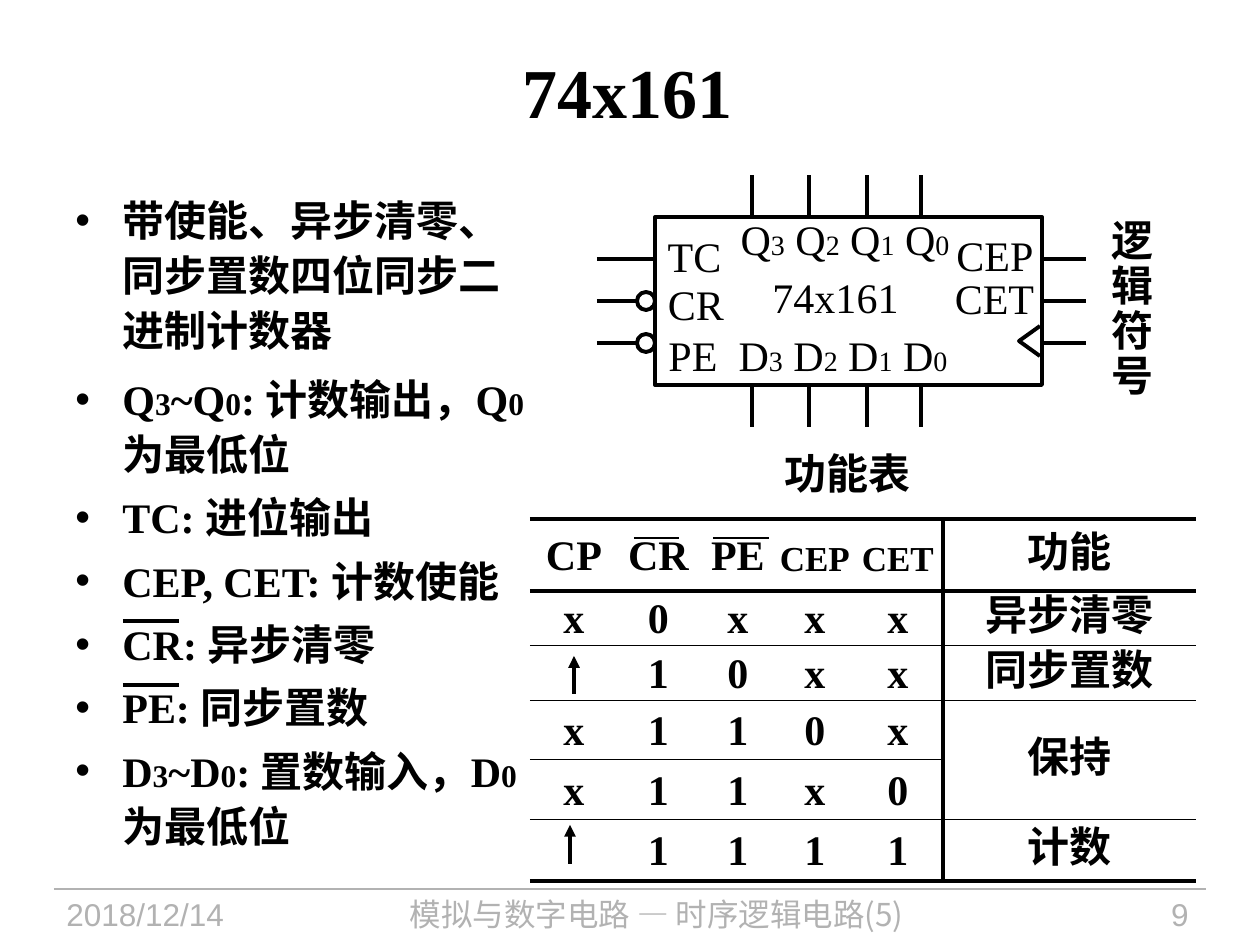
from itertools import groupby, pairwise
from typing import NamedTuple

from lxml.etree import SubElement
from pptx import Presentation
from pptx.dml.color import RGBColor
from pptx.enum.shapes import MSO_CONNECTOR as Conn, MSO_SHAPE as Kind
from pptx.enum.text import MSO_ANCHOR as Anchor, PP_ALIGN as Align
from pptx.oxml.ns import qn
from pptx.util import Emu, Pt

BLACK = RGBColor(0, 0, 0)
WHITE = RGBColor(255, 255, 255)
GRAY = RGBColor(0xB2, 0xB2, 0xB2)
SERIF, SANS, HAN = "Times New Roman", "Arial", "Noto Sans CJK SC"
THICK, MID, THIN = 2.25, 1.5, 0.75


class Box(NamedTuple):
    x: int
    y: int
    w: int
    h: int


class Line(NamedTuple):
    x1: int
    y1: int
    x2: int
    y2: int
    width: float = THICK
    color: RGBColor = BLACK
    arrow: bool = False


class Label(NamedTuple):
    text: str
    box: Box
    sub: int = 0


class Item(NamedTuple):
    text: str
    after: float = 4.8


FRAME = Box(655, 217, 387, 168)
PINS = (752, 809, 867, 921)
SIDES = (259, 301, 343)
COLS = (530, 618, 699, 777, 853, 943, 1196)
ROWS = (519, 591, 646, 701, 760, 820, 881)
HEAVY = (0, 1, 6)
CELLS = (
    ("CP", "CR", "PE", "CEP", "CET", "功能"),
    ("x", "0", "x", "x", "x", "异步清零"),
    ("", "1", "0", "x", "x", "同步置数"),
    ("x", "1", "1", "0", "x", "保持"),
    ("x", "1", "1", "x", "0", ""),
    ("", "1", "1", "1", "1", "计数"),
)
LABELS = (
    Label("TC", Box(655, 224, 79, 63)),
    Label("CR", Box(655, 272, 82, 63)),
    Label("PE", Box(656, 323, 74, 63)),
    Label("CEP", Box(944, 223, 102, 63)),
    Label("CET", Box(942, 266, 105, 63)),
    Label("74x161", Box(760, 265, 151, 63)),
    Label("Q3 Q2 Q1 Q0", Box(728, 207, 234, 63), 16),
    Label("D3 D2 D1 D0", Box(726, 323, 234, 63), 16),
)
ITEMS = (
    Item("带使能、异步清零、同步置数四位同步二进制计数器", 8),
    Item("Q3~Q0: 计数输出，Q0为最低位"),
    Item("TC: 进位输出"),
    Item("CEP, CET: 计数使能"),
    Item("CR: 异步清零"),
    Item("PE: 同步置数"),
    Item("D3~D0: 置数输入，D0为最低位"),
)
BARS = (
    Line(123, 621, 179, 621),
    Line(123, 685, 179, 685),
    Line(634, 538, 679, 538, MID),
    Line(713, 538, 769, 538, MID),
)
ARROWS = (
    Line(574, 694, 574, 656, arrow=True),
    Line(570, 864, 570, 825, arrow=True),
)


def px(n: float) -> Emu:
    return Emu(round(n * 914400 / 126))


def write(para, text: str, *, size=24, font=SERIF, color=BLACK, bold=False,
          align=Align.CENTER, lead=None, after=0, sub=0) -> None:
    para.alignment = align
    para.space_before, para.space_after = Pt(0), Pt(after)
    if lead:
        para.line_spacing = Pt(lead)
    parts = groupby(text, str.isdigit) if sub else [(False, text)]
    for low, chars in parts:
        run = para.add_run()
        run.text = "".join(chars)
        run.font.size = Pt(sub if low else size)
        run.font.name, run.font.bold = font, bold
        run.font.color.rgb = color
        SubElement(run.font._element, qn("a:ea"), typeface=HAN)


def frame(slide, box: Box, wrap=True, anchor=Anchor.TOP):
    body = slide.shapes.add_textbox(*map(px, box)).text_frame
    body.word_wrap, body.vertical_anchor = wrap, anchor
    return body


def draw(slide, line: Line):
    ends = map(px, line[:4])
    conn = slide.shapes.add_connector(Conn.STRAIGHT, *ends)
    conn.line.width = Pt(line.width)
    conn.line.color.rgb = line.color
    if line.arrow:
        SubElement(conn.line._get_or_add_ln(), qn("a:tailEnd"), type="triangle")
    SubElement(conn._element.spPr, qn("a:effectLst"))
    return conn


def shape(slide, kind, box: Box):
    form = slide.shapes.add_shape(kind, *map(px, box))
    style(form)
    return form


def style(form) -> None:
    form.shadow.inherit = False
    form.fill.background()
    form.line.color.rgb = BLACK
    form.line.width = Pt(THICK)


def chip(slide) -> None:
    body = shape(slide, Kind.RECTANGLE, FRAME)
    right, base = FRAME.x + FRAME.w, FRAME.y + FRAME.h
    for x in PINS:
        draw(slide, Line(x, FRAME.y, x, FRAME.y - 42))
        draw(slide, Line(x, base, x, base + 42))
    for y in SIDES:
        left = draw(slide, Line(597, y, FRAME.x, y))
        out = draw(slide, Line(right, y, right + 44, y))
        if y == FRAME.y + FRAME.h // 2:
            left.end_connect(body, 1)
            out.begin_connect(body, 3)
    for y in SIDES[1:]:
        dot = shape(slide, Kind.OVAL, Box(637, y - 9, 18, 18))
        dot.fill.solid()
        dot.fill.fore_color.rgb = WHITE
    clock = slide.shapes.build_freeform(px(1040), px(326))
    clock.add_line_segments([(px(1019), px(341)), (px(1040), px(356))], close=False)
    style(clock.convert_to_shape())
    for text, box, sub in LABELS:
        body = frame(slide, box, False, Anchor.MIDDLE)
        write(body.paragraphs[0], text, sub=sub)


def edge(cell, side: str, width: float) -> None:
    ln = SubElement(cell._tc.get_or_add_tcPr(), qn(f"a:ln{side}"), w=str(Pt(width)))
    if width:
        fill = SubElement(ln, qn("a:solidFill"))
        SubElement(fill, qn("a:srgbClr"), val=str(BLACK))
    else:
        SubElement(ln, qn("a:noFill"))


def rule(row: int, col: int) -> float:
    if (row, col) == (4, 5):
        return 0
    return THICK if row in HEAVY else THIN


def grid(slide) -> None:
    box = Box(COLS[0], ROWS[0], COLS[-1] - COLS[0], ROWS[-1] - ROWS[0])
    table = slide.shapes.add_table(len(CELLS), len(CELLS[0]), *map(px, box)).table
    table.first_row = table.horz_banding = False
    for col, (a, b) in zip(table.columns, pairwise(COLS)):
        col.width = px(b - a)
    for row, (a, b) in zip(table.rows, pairwise(ROWS)):
        row.height = px(b - a)
    table.cell(3, 5).merge(table.cell(4, 5))
    for r, texts in enumerate(CELLS):
        for c, text in enumerate(texts):
            cell = table.cell(r, c)
            cell.margin_left = cell.margin_right = 0
            cell.margin_top = cell.margin_bottom = 0
            cell.vertical_anchor = Anchor.MIDDLE
            edge(cell, "L", THICK if c == 5 else 0)
            edge(cell, "R", THICK if c == 4 else 0)
            edge(cell, "T", rule(r, c))
            edge(cell, "B", rule(r + 1, c))
            cell.fill.background()
            size = 20 if text in ("CEP", "CET") else 24
            if text:
                write(cell.text_frame.paragraphs[0], text, size=size, bold=True, lead=28)


def bullets(slide) -> None:
    body = frame(slide, Box(63, 180, 462, 699))
    body.margin_top, body.margin_right = px(10), 0
    for n, (text, after) in enumerate(ITEMS):
        para = body.add_paragraph() if n else body.paragraphs[0]
        write(para, text, bold=True, align=Align.LEFT, lead=31.4, after=after, sub=18)
        props = para._p.get_or_add_pPr()
        props.set("marL", str(px(47)))
        props.set("indent", str(-px(47)))
        SubElement(props, qn("a:buFont"), typeface=SANS)
        SubElement(props, qn("a:buChar"), char="•")


def footer(slide) -> None:
    draw(slide, Line(54, 889, 1206, 889, THIN, GRAY))
    for text, box, align, font in (
        ("2018/12/14", Box(54, 889, 237, 56), Align.LEFT, SANS),
        ("模拟与数字电路 — 时序逻辑电路(5)", Box(302, 889, 709, 56), Align.CENTER, HAN),
        ("9", Box(1033, 889, 168, 56), Align.RIGHT, SANS),
    ):
        write(frame(slide, box).paragraphs[0], text, size=18, font=font,
              color=GRAY, align=align)


def main() -> None:
    deck = Presentation()
    deck.slide_width, deck.slide_height = px(1260), px(945)
    slide = deck.slides.add_slide(deck.slide_layouts[5])
    title = slide.shapes.title
    title.left, title.top, title.width, title.height = map(px, Box(63, 11, 1128, 158))
    title.text_frame.vertical_anchor = Anchor.MIDDLE
    write(title.text_frame.paragraphs[0], "74x161", size=40, bold=True)
    footer(slide)
    bullets(slide)
    chip(slide)
    side = frame(slide, Box(1091, 214, 84, 194))
    for n, char in enumerate("逻辑符号"):
        para = side.add_paragraph() if n else side.paragraphs[0]
        write(para, char, font=SANS, bold=True, lead=25.7)
    head = frame(slide, Box(753, 437, 189, 63))
    write(head.paragraphs[0], "功能表", font=SANS, bold=True, lead=31)
    grid(slide)
    for line in BARS + ARROWS:
        draw(slide, line)
    deck.save("out.pptx")


if __name__ == "__main__":
    main()
